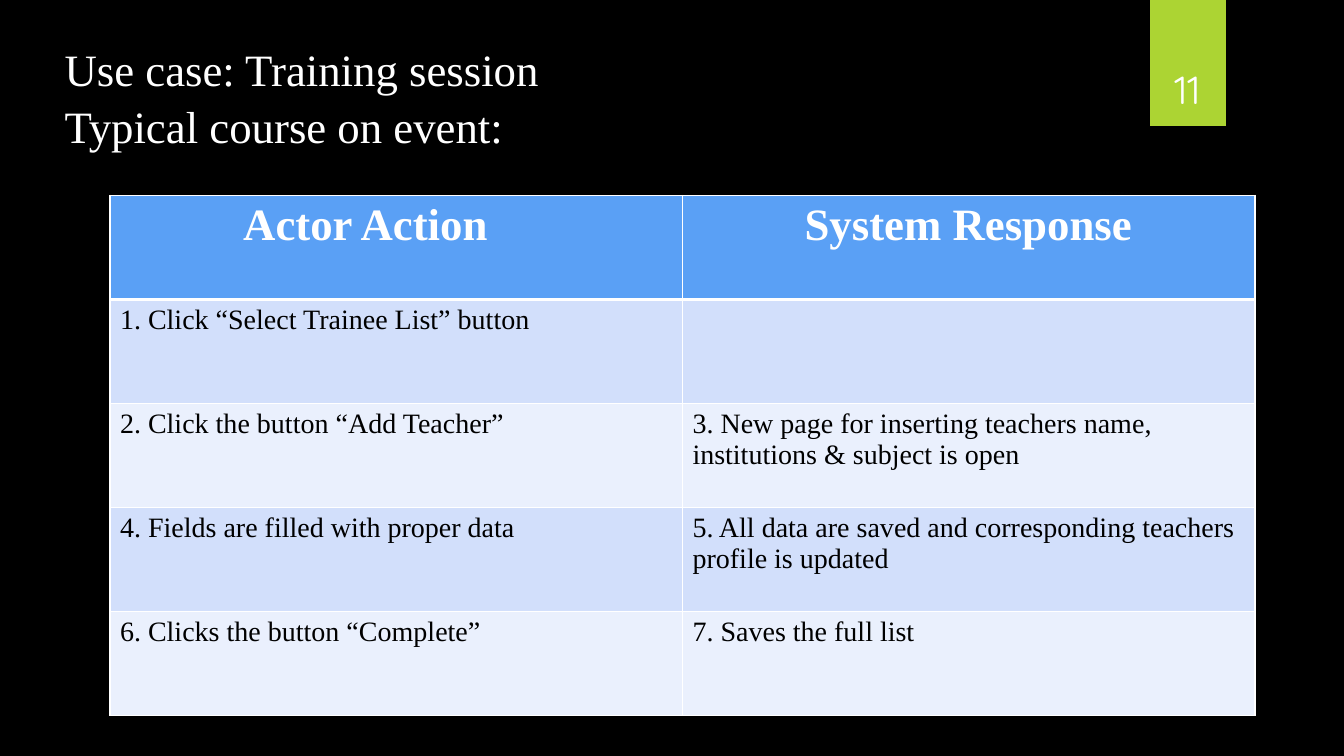
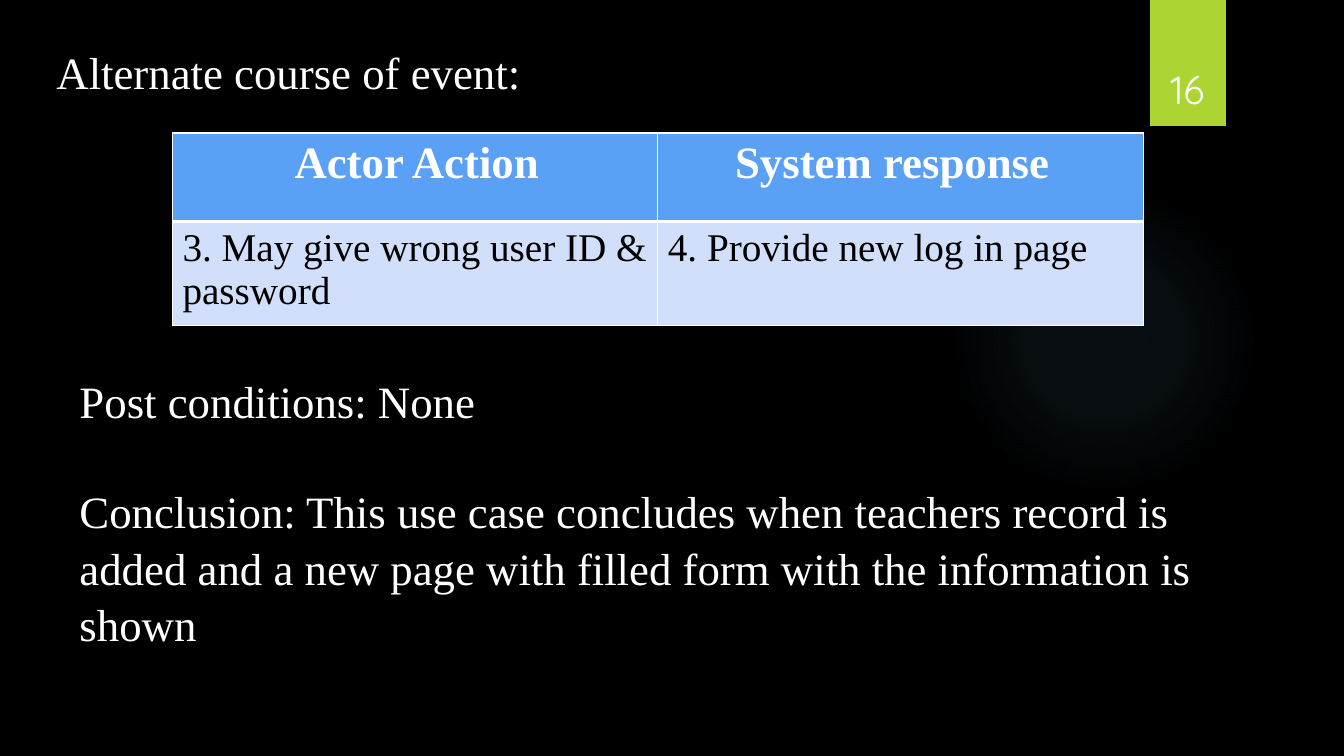
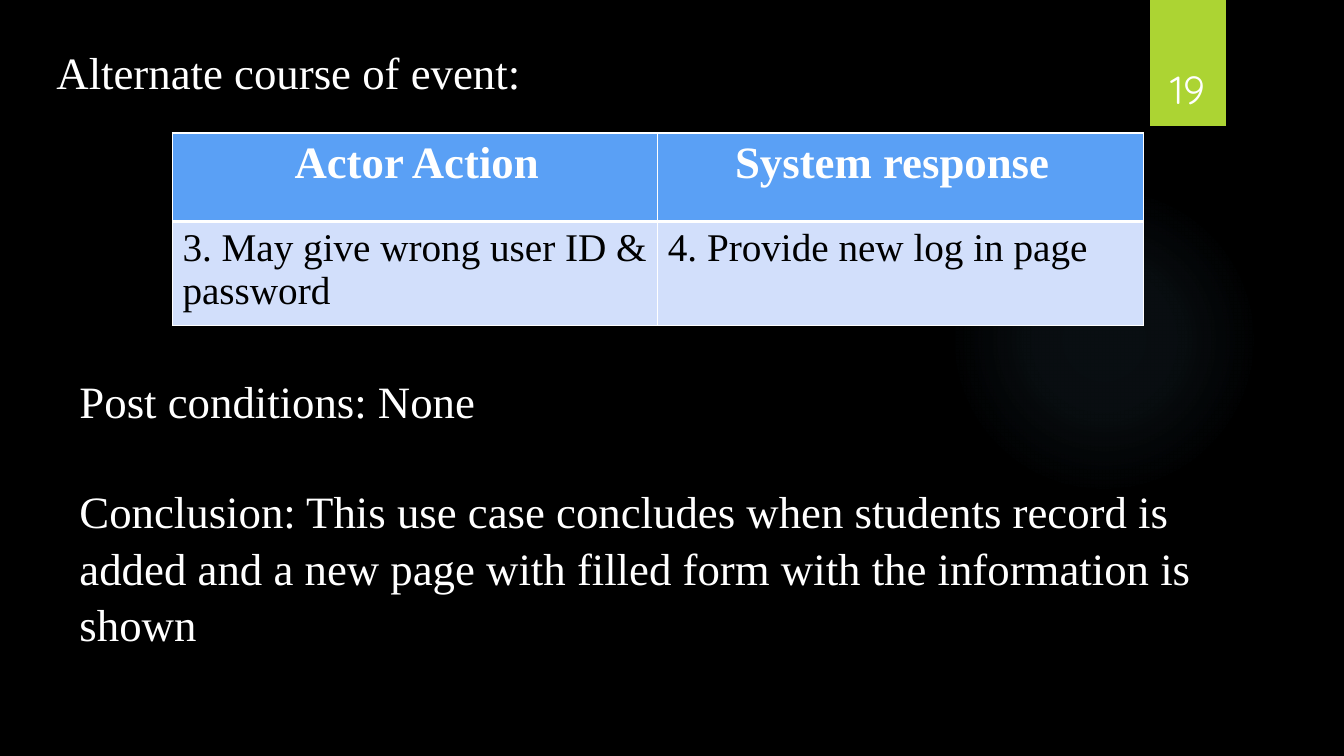
import pptx
import pptx.dml.color
import pptx.enum.shapes
import pptx.enum.text
import pptx.oxml
import pptx.oxml.ns
import pptx.util

RGB = pptx.dml.color.RGBColor
Pt = pptx.util.Pt
ALIGN = pptx.enum.text.PP_ALIGN
ANCHOR = pptx.enum.text.MSO_ANCHOR
SHAPE = pptx.enum.shapes.MSO_SHAPE

BLACK = RGB(0x00, 0x00, 0x00)
WHITE = RGB(0xFF, 0xFF, 0xFF)
LIME = RGB(0xAC, 0xD4, 0x33)
SKY = RGB(0x7A, 0xC4, 0xF0)
HEADER = RGB(0x5A, 0xA0, 0xF5)
BANDS = (RGB(0xD2, 0xDF, 0xFB), RGB(0xEA, 0xF0, 0xFD))

SERIF = "Times New Roman"
ROUNDED = "Quicksand"
TEXT_SIZE = 32
LINE_SPACING = 1.05
LINE_GAP = 38.6

WIDTH = pptx.util.Inches(13.333)
HEIGHT = pptx.util.Inches(7.5)

GLOW = (70.58, 24.4, 23.1, 41.07)
BADGE = (85.58, 0, 5.63, 16.67)
NUMBER = (84.9, 4.27, 6.9, 11.2)
BODY = (5.18, 48.4, 86.33, 37.2)
TITLE = (3.45, 4.93, 84.53, 8.53)
TALL_TITLE = (4.05, 4.53, 77.25, 15.73)
SMALL_TABLE = (12.83, 17.6, 72.23, 25.47)
LARGE_TABLE = (8.18, 25.87, 85.2, 68.8)

GLOW_STOPS = ((0, 7), (36, 6), (69, 0))


def box(area):
    """Turn percentages of the slide into left, top, width and height."""
    return [int(side * share / 100) for side, share in zip((WIDTH, HEIGHT) * 2, area)]


def add_run(p, text, size, color, font=SERIF, bold=False):
    """Add one formatted run to a paragraph."""
    r = p.add_run()
    r.text = text
    r.font.name, r.font.size, r.font.bold = font, Pt(size), bold
    r.font.color.rgb = color


def write_lines(tf, lines, gap=0):
    """Write large white paragraphs separated by a gap in points."""
    tf.word_wrap = True
    tf.auto_size = pptx.enum.text.MSO_AUTO_SIZE.NONE
    tf.vertical_anchor = ANCHOR.TOP
    for i, line in enumerate(lines):
        p = tf.add_paragraph() if i else tf.paragraphs[0]
        p.alignment = ALIGN.LEFT
        p.line_spacing = LINE_SPACING
        p.space_before = Pt(gap if i else 0)
        add_run(p, line, TEXT_SIZE, WHITE)


def add_plain_shape(slide, kind, area):
    """Add a preset shape without line or shadow."""
    sp = slide.shapes.add_shape(kind, *box(area))
    sp.shadow.inherit = False
    sp.line.fill.background()
    return sp


def add_glow(slide):
    """Add the faint radial glow."""
    sp = add_plain_shape(slide, SHAPE.OVAL, GLOW)
    stops = "".join(
        f'<a:gs pos="{pos * 1000}"><a:srgbClr val="{SKY}">'
        f'<a:alpha val="{alpha * 1000}"/></a:srgbClr></a:gs>'
        for pos, alpha in GLOW_STOPS)
    fill = pptx.oxml.parse_xml(
        f'<a:gradFill {pptx.oxml.ns.nsdecls("a")} rotWithShape="1">'
        f'<a:gsLst>{stops}</a:gsLst><a:path path="circle">'
        '<a:fillToRect l="50000" t="50000" r="50000" b="50000"/>'
        '</a:path></a:gradFill>')
    sp.element.spPr.insert(2, fill)


def add_badge(slide, number):
    """Add the lime badge with the page number."""
    sp = add_plain_shape(slide, SHAPE.RECTANGLE, BADGE)
    sp.fill.solid()
    sp.fill.fore_color.rgb = LIME
    tf = slide.shapes.add_textbox(*box(NUMBER)).text_frame
    tf.word_wrap = True
    tf.vertical_anchor = ANCHOR.BOTTOM
    p = tf.paragraphs[0]
    p.alignment = ALIGN.CENTER
    add_run(p, str(number), 28, WHITE, ROUNDED)


def set_borders(cell, top, bottom):
    """Give a cell white borders with the given top and bottom widths."""
    tc_pr = cell._tc.get_or_add_tcPr()
    widths = {"lnL": 1, "lnR": 1, "lnT": top, "lnB": bottom}
    for i, (tag, width) in enumerate(widths.items()):
        tc_pr.insert(i, pptx.oxml.parse_xml(
            f'<a:{tag} {pptx.oxml.ns.nsdecls("a")} w="{Pt(width)}"><a:solidFill>'
            f'<a:srgbClr val="{WHITE}"/></a:solidFill></a:{tag}>'))


def add_action_table(slide, area, rows, shares, indents, size):
    """Add an action table with row height shares and header indents in points."""
    left, top, width, height = box(area)
    table = slide.shapes.add_table(len(rows), 2, left, top, width, height).table
    for i, (row, share) in enumerate(zip(rows, shares)):
        table.rows[i].height = int(height * share)
        for j, text in enumerate(row):
            cell = table.cell(i, j)
            cell.fill.solid()
            cell.fill.fore_color.rgb = BANDS[(i - 1) % 2] if i else HEADER
            set_borders(cell, 3 if i == 1 else 1, 1 if i else 3)
            p = cell.text_frame.paragraphs[0]
            if i == 0:
                p._p.get_or_add_pPr().set("marL", str(Pt(indents[j])))
                add_run(p, text, TEXT_SIZE, WHITE, bold=True)
            elif text:
                add_run(p, text, size, BLACK)


def add_slide(prs, number, title, area):
    """Add a slide with the shared glow, badge and title."""
    slide = prs.slides.add_slide(prs.slide_layouts[5])
    add_glow(slide)
    add_badge(slide, number)
    sp = slide.shapes.title
    sp.left, sp.top, sp.width, sp.height = box(area)
    write_lines(sp.text_frame, title)
    return slide


def add_typical_slide(prs):
    """Add the typical course of the training session."""
    slide = add_slide(prs, 11, ("Use case: Training session",
                                "Typical course on event:"), TALL_TITLE)
    rows = (
        ("Actor Action", "System Response"),
        ("1. Click “Select Trainee List” button", ""),
        ("2. Click the button “Add Teacher”",
         "3. New page for inserting teachers name, institutions & subject is open"),
        ("4. Fields are filled with proper data",
         "5. All data are saved and corresponding teachers profile is updated"),
        ("6. Clicks the button “Complete”", "7. Saves the full list"),
    )
    add_action_table(slide, LARGE_TABLE, rows, [1 / len(rows)] * len(rows), (88, 80), 20)


def add_alternate_slide(prs, number, people):
    """Add the alternate course that concludes with a record of the people."""
    slide = add_slide(prs, number, ("Alternate course of event:",), TITLE)
    tf = slide.shapes.add_textbox(*box(BODY)).text_frame
    write_lines(tf, (
        "Post conditions: None",
        f"Conclusion: This use case concludes when {people} record is added "
        "and a new page with filled form with the information is shown",
    ), LINE_GAP)
    rows = (
        ("Actor Action", "System response"),
        ("3. May give wrong user ID & password", "4. Provide new log in page"),
    )
    add_action_table(slide, SMALL_TABLE, rows, (0.46, 0.54), (80, 48), 28)


def main():
    """Build and save the presentation."""
    prs = pptx.Presentation()
    prs.slide_width, prs.slide_height = WIDTH, HEIGHT
    fill = prs.slide_master.background.fill
    fill.solid()
    fill.fore_color.rgb = BLACK
    add_typical_slide(prs)
    for number, people in ((16, "teachers"), (19, "students")):
        add_alternate_slide(prs, number, people)
    prs.save("out.pptx")


main()
